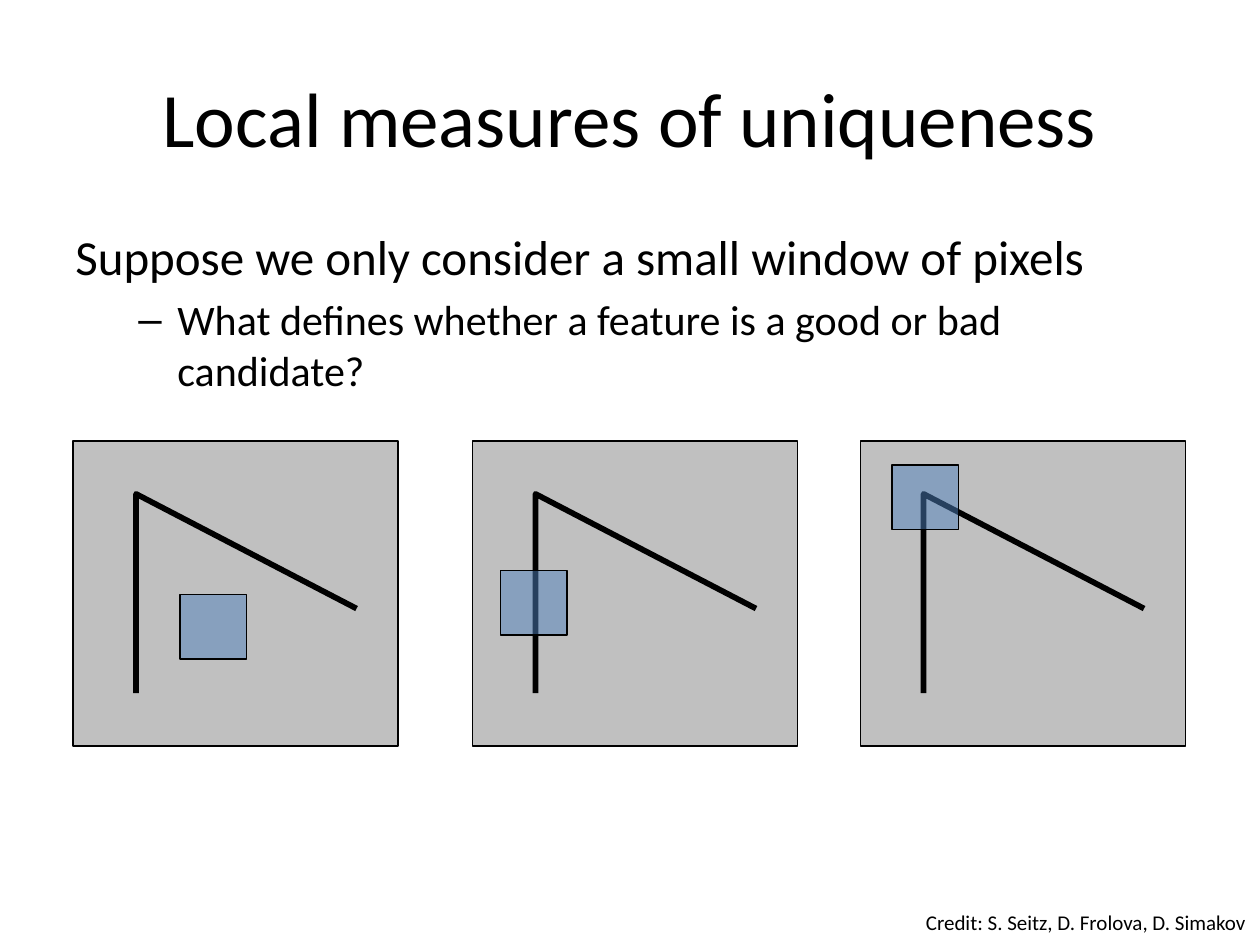
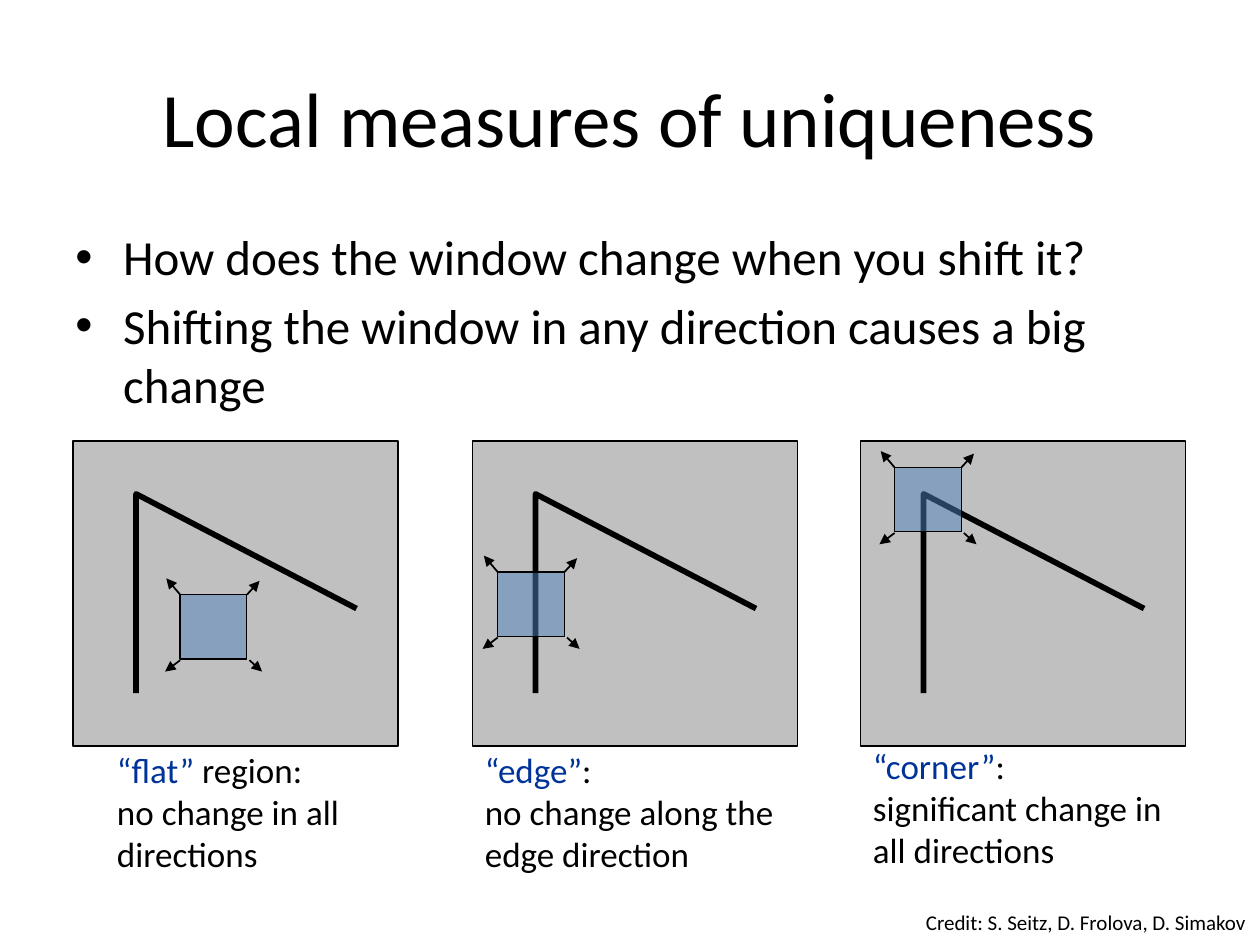
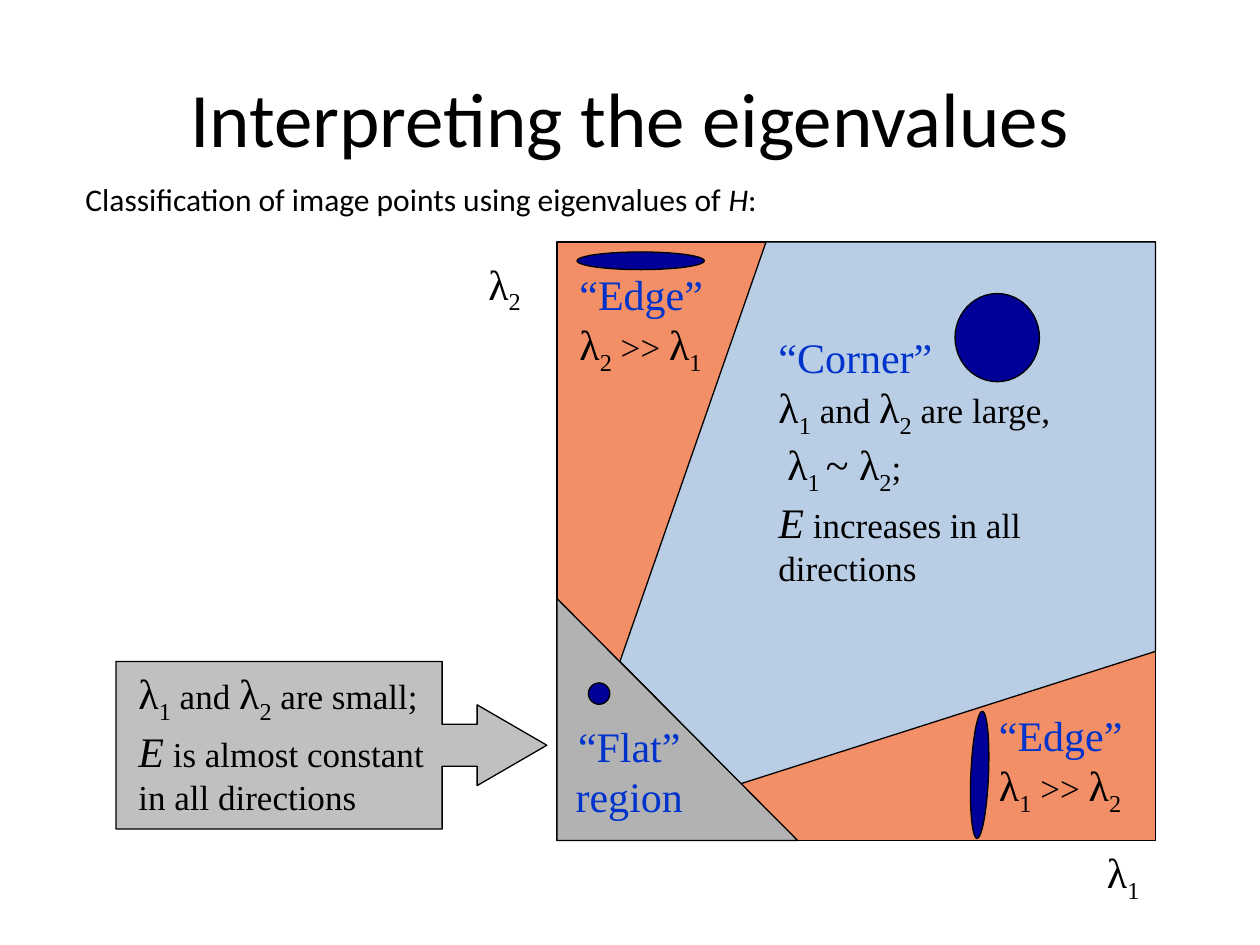
import dataclasses
import typing

import lxml.etree
import pptx
import pptx.dml.color
import pptx.enum.shapes
import pptx.enum.text
import pptx.oxml.ns
import pptx.util

Inches = pptx.util.Inches
Pt = pptx.util.Pt
qn = pptx.oxml.ns.qn
SHAPE = pptx.enum.shapes.MSO_SHAPE
ALIGN = pptx.enum.text.PP_ALIGN


@dataclasses.dataclass(frozen=True)
class Theme:
    sans: str = "Calibri"
    serif: str = "Times New Roman"
    black: str = "000000"
    panel: str = "C0C0C0"
    window: str = "4F81BD"
    caption: str = "003399"
    label: str = "0033CC"
    edge: str = "F38F67"
    corner: str = "B9CDE5"
    flat: str = "B2B2B2"
    ellipse: str = "000099"
    title_pt: float = 44
    body_pt: float = 28
    large_pt: float = 24
    text_pt: float = 20
    lead_pt: float = 18
    credit_pt: float = 12
    thin: float = 0.75
    arrow: float = 1
    thick: float = 3.25


T = Theme()


class Box(typing.NamedTuple):
    x: float
    y: float
    w: float
    h: float

    def emu(self) -> list[int]:
        return [Inches(v) for v in self]


class Run(typing.NamedTuple):
    text: str
    size: float = T.text_pt
    color: str = T.black
    italic: bool = False
    sub: bool = False


class Para(typing.NamedTuple):
    runs: list[Run]
    bullet: str = ""
    margin: float = 0
    indent: float = 0
    before: float = 0
    align: typing.Optional[ALIGN] = None


class Panel(typing.NamedTuple):
    x: float
    window: tuple[float, float]


class Label(typing.NamedTuple):
    box: Box
    runs: list[Run]
    align: typing.Optional[ALIGN] = None


class Ellipse(typing.NamedTuple):
    box: Box
    rotation: float = 0


TITLE_BOX = Box(0.5, 0.3, 9, 1.25)
BODY_BOX = Box(0.5, 1.75, 9, 4.95)
CREDIT_BOX = Box(7.25, 7.17, 2.75, 0.33)
PANEL_Y, PANEL_W, PANEL_H = 3.5, 2.58, 2.42
WINDOW_W, WINDOW_H = 0.53, 0.51
STROKE = [(0.5, 2), (0.5, 0.42), (2.25, 1.33)]
SHIFT_ARROWS = [
    ((0.53, 0), (0.63, -0.11)),
    ((0.55, 0.52), (0.65, 0.61)),
    ((0, 0.52), (-0.12, 0.61)),
    ((0, 0), (-0.11, -0.13)),
]
STILL_PANELS = [
    Panel(0.58, (1.43, 4.72)),
    Panel(3.75, (3.97, 4.53)),
    Panel(6.83, (7.08, 3.69)),
]
SHIFT_PANELS = [
    Panel(0.58, (1.43, 4.72)),
    Panel(3.75, (3.95, 4.54)),
    Panel(6.83, (7.1, 3.71)),
]


def rgb(color: str):
    return pptx.dml.color.RGBColor.from_string(color)


def lam(index: str) -> list[Run]:
    """Lambda with a subscript index."""
    return [Run("λ", T.large_pt), Run(index, T.large_pt, sub=True)]


def add_run(p, run: Run, font: str) -> None:
    """Add a run; a newline in its text becomes a line break."""
    for i, piece in enumerate(run.text.split("\n")):
        if i:
            p.add_line_break()
        if not piece:
            continue
        r = p.add_run()
        r.text = piece
        r.font.name = font
        r.font.size = Pt(run.size)
        r.font.italic = run.italic
        r.font.color.rgb = rgb(run.color)
        if run.sub:
            r._r.get_or_add_rPr().set("baseline", "-25000")


def fill_text(tf, paras: list[Para], font: str) -> None:
    tf.word_wrap = True
    for i, para in enumerate(paras):
        p = tf.add_paragraph() if i else tf.paragraphs[0]
        if para.align is not None:
            p.alignment = para.align
        if para.before:
            p.space_before = Pt(para.before)
        pPr = p._p.get_or_add_pPr()
        if para.margin:
            pPr.set("marL", str(Inches(para.margin)))
            pPr.set("indent", str(Inches(para.indent)))
        if para.bullet:
            lxml.etree.SubElement(pPr, qn("a:buFont")).set("typeface", "Arial")
            lxml.etree.SubElement(pPr, qn("a:buChar")).set("char", para.bullet)
        for run in para.runs:
            add_run(p, run, font)


def add_text(slide, box: Box, paras: list[Para], font: str = T.sans) -> None:
    fill_text(slide.shapes.add_textbox(*box.emu()).text_frame, paras, font)


def style(sp, fill: typing.Optional[str], width: float = T.thin) -> None:
    sp.shadow.inherit = False
    if fill:
        sp.fill.solid()
        sp.fill.fore_color.rgb = rgb(fill)
    else:
        sp.fill.background()
    sp.line.color.rgb = rgb(T.black)
    sp.line.width = Pt(width)


def add_shape(shapes, kind: SHAPE, box: Box, fill: str):
    sp = shapes.add_shape(kind, *box.emu())
    style(sp, fill)
    return sp


def add_outline(shapes, points, close: bool, fill=None, width: float = T.thin) -> None:
    start, *rest = [(Inches(x), Inches(y)) for x, y in points]
    builder = shapes.build_freeform(*start)
    builder.add_line_segments(rest, close=close)
    style(builder.convert_to_shape(), fill, width)


def add_arrow(shapes, start, end) -> None:
    c = shapes.add_connector(pptx.enum.shapes.MSO_CONNECTOR.STRAIGHT,
                             *[Inches(v) for v in (*start, *end)])
    c.line.color.rgb = rgb(T.black)
    c.line.width = Pt(T.arrow)
    spPr = c._element.spPr
    lxml.etree.SubElement(spPr.find(qn("a:ln")), qn("a:tailEnd")).set("type", "triangle")
    lxml.etree.SubElement(spPr, qn("a:effectLst"))


def add_panel(slide, panel: Panel, shifting: bool) -> None:
    """Grey panel with an angled stroke, a translucent window and optional arrows."""
    shapes = slide.shapes.add_group_shape().shapes
    add_shape(shapes, SHAPE.RECTANGLE, Box(panel.x, PANEL_Y, PANEL_W, PANEL_H), T.panel)
    add_outline(shapes, [(panel.x + x, PANEL_Y + y) for x, y in STROKE],
                close=False, width=T.thick)
    wx, wy = panel.window
    window = add_shape(shapes, SHAPE.RECTANGLE, Box(wx, wy, WINDOW_W, WINDOW_H), T.window)
    color = window._element.spPr.find(qn("a:solidFill")).find(qn("a:srgbClr"))
    lxml.etree.SubElement(color, qn("a:alpha")).set("val", "50000")
    if shifting:
        for (x1, y1), (x2, y2) in SHIFT_ARROWS:
            add_arrow(shapes, (wx + x1, wy + y1), (wx + x2, wy + y2))


def add_slide(prs, title: str):
    slide = prs.slides.add_slide(prs.slide_layouts[5])
    sp = slide.shapes.title
    sp.left, sp.top, sp.width, sp.height = TITLE_BOX.emu()
    tf = sp.text_frame
    tf.vertical_anchor = pptx.enum.text.MSO_ANCHOR.MIDDLE
    fill_text(tf, [Para([Run(title, T.title_pt)], align=ALIGN.CENTER)], T.sans)
    return slide


def add_uniqueness_slide(prs, body: list[Para], panels: list[Panel], shifting: bool):
    slide = add_slide(prs, "Local measures of uniqueness")
    add_text(slide, BODY_BOX, body)
    for panel in panels:
        add_panel(slide, panel, shifting)
    credit = Run("Credit: S. Seitz, D. Frolova, D. Simakov", T.credit_pt)
    add_text(slide, CREDIT_BOX, [Para([credit], margin=0.38, indent=-0.38)])
    return slide


def build_window_slide(prs) -> None:
    body = [
        Para([Run("Suppose we only consider a small window of pixels", T.body_pt)],
             margin=0.38, indent=-0.38),
        Para([Run("What defines whether a feature is a good or bad candidate?", T.large_pt)],
             "–", 0.81, -0.31, before=4.8),
    ]
    add_uniqueness_slide(prs, body, STILL_PANELS, shifting=False)


def build_shift_slide(prs) -> None:
    body = [
        Para([Run("How does the window change when you shift it?", T.body_pt)],
             "•", 0.38, -0.38),
        Para([Run("Shifting the window in any direction causes a big change", T.body_pt)],
             "•", 0.38, -0.38, before=5.6),
    ]
    slide = add_uniqueness_slide(prs, body, SHIFT_PANELS, shifting=True)
    captions = [
        (Box(0.83, 5.89, 2.25, 1.11), "“flat”", " region:\nno change in all directions"),
        (Box(3.75, 5.89, 2.67, 1.11), "“edge”", ":\nno change along the edge direction"),
        (Box(6.83, 5.86, 2.67, 1.11), "“corner”", ":\nsignificant change in all directions"),
    ]
    for box, name, meaning in captions:
        add_text(slide, box, [Para([Run(name, color=T.caption), Run(meaning)])])


def build_eigenvalue_slide(prs) -> None:
    slide = add_slide(prs, "Interpreting the eigenvalues")
    shapes = slide.shapes
    callout = add_shape(shapes, SHAPE.RIGHT_ARROW_CALLOUT, Box(0.92, 5.25, 3.42, 1.33), T.panel)
    for i, value in enumerate((0.25, 0.241, 0.416, 0.757)):
        callout.adjustments[i] = value
    add_shape(shapes, SHAPE.RECTANGLE, Box(4.42, 1.92, 4.75, 4.75), T.edge)
    corner = [(4.92, 5.25), (6.08, 1.92), (9.17, 1.92), (9.17, 5.17), (5.88, 6.22)]
    add_outline(shapes, corner, close=True, fill=T.corner)
    add_shape(shapes, SHAPE.RIGHT_TRIANGLE, Box(4.42, 4.75, 1.91, 1.92), T.flat)

    def heading(text: str) -> Run:
        return Run(text, T.large_pt, T.label)

    def edge(big: str, small: str) -> list[Run]:
        return [heading("“Edge”\n"), *lam(big), Run(" >> "), *lam(small)]

    both = [*lam("1"), Run(" and "), *lam("2")]
    energy = Run("E", T.large_pt, italic=True)
    labels = [
        Label(Box(8.5, 6.67, 0.83, 0.5), lam("1"), ALIGN.CENTER),
        Label(Box(3.42, 2, 1.17, 0.5), lam("2"), ALIGN.CENTER),
        Label(Box(6.08, 2.58, 2.92, 2.03),
              [heading("“Corner”\n"), *both, Run(" are large,\n "),
               *lam("1 "), Run("~ ", T.large_pt), *lam("2"), Run(";\n"),
               energy, Run(" increases in all directions")]),
        Label(Box(1, 5.25, 2.58, 1.23),
              [*both, Run(" are small;\n"), energy,
               Run(" is almost constant in all directions")]),
        Label(Box(7.83, 5.58, 1.42, 0.9), edge("1", "2")),
        Label(Box(4.5, 2.08, 1.42, 0.9), edge("2", "1")),
        Label(Box(4.33, 5.67, 1.33, 0.9), [heading("“Flat” region")], ALIGN.CENTER),
    ]
    for label in labels:
        add_text(slide, label.box, [Para(label.runs, align=label.align)], T.serif)

    lead = [Run("Classification of image points using eigenvalues of ", T.lead_pt),
            Run("H", T.lead_pt, italic=True), Run(":", T.lead_pt)]
    add_text(slide, Box(0.58, 1.38, 8.75, 0.4), [Para(lead)])

    ellipses = [
        Ellipse(Box(7.58, 2.33, 0.67, 0.7)),
        Ellipse(Box(4.58, 2, 1.01, 0.14)),
        Ellipse(Box(4.67, 5.42, 0.17, 0.17)),
        Ellipse(Box(7.27, 6.08, 1.01, 0.14), 92.4),
    ]
    for ellipse in ellipses:
        sp = add_shape(shapes, SHAPE.OVAL, ellipse.box, T.ellipse)
        sp.rotation = ellipse.rotation


def main() -> None:
    prs = pptx.Presentation()
    prs.slide_width, prs.slide_height = Inches(10), Inches(7.5)
    build_window_slide(prs)
    build_shift_slide(prs)
    build_eigenvalue_slide(prs)
    prs.save("out.pptx")


if __name__ == "__main__":
    main()
